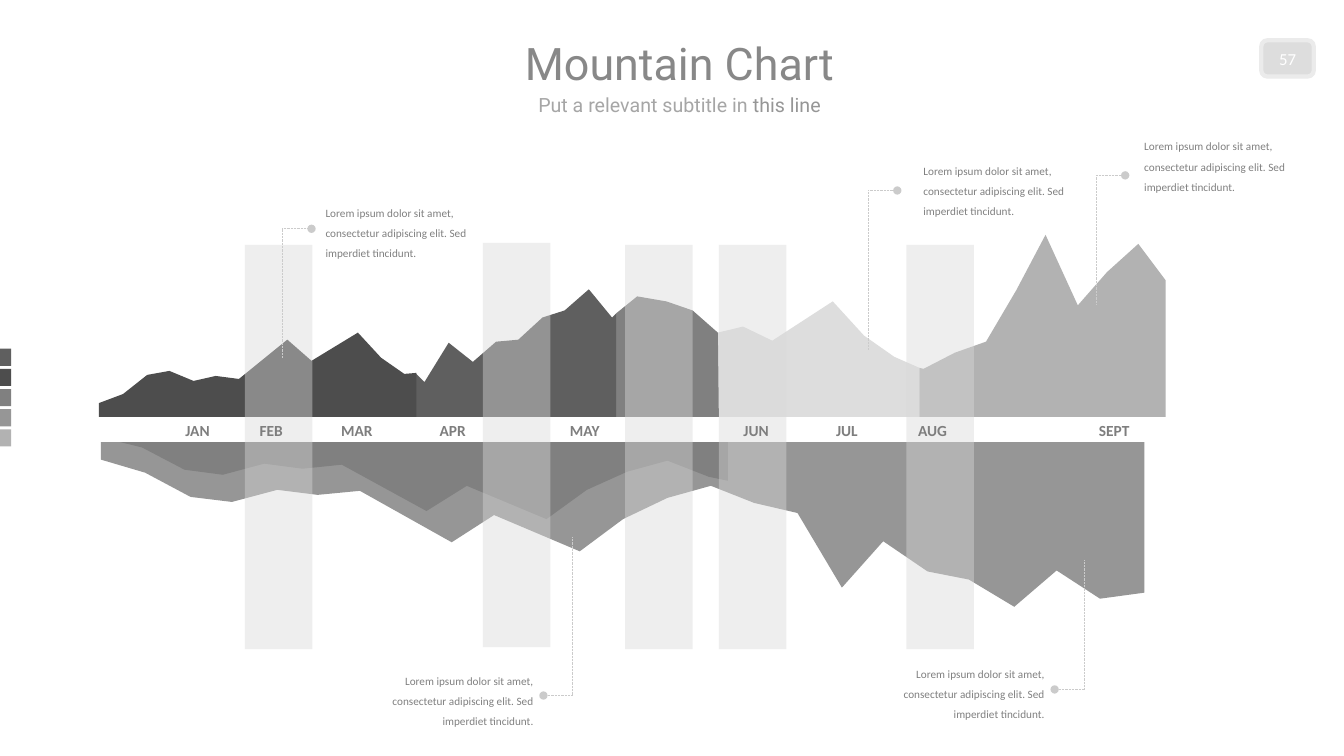
from lxml import etree
from pptx import Presentation
from pptx.dml.color import RGBColor
from pptx.enum.dml import MSO_LINE
from pptx.enum.shapes import MSO_CONNECTOR, MSO_SHAPE
from pptx.enum.text import MSO_ANCHOR, PP_ALIGN
from pptx.oxml.ns import qn
from pptx.util import Inches, Pt

COLORS = {
    "white": "FFFFFF", "title": "888888", "subtitle": "A6A6A6", "accent": "969696",
    "badge": "DDDDDD", "badge_line": "EBEBEB", "month": "7E7E7E", "body": "808080",
    "leader": "CBCBCB", "column": "D9D9D9", "slate": "5F5F5F", "charcoal": "4D4D4D",
    "gray": "808080", "silver": "969696", "ash": "B2B2B2", "pale": "DDDDDD",
}
SWATCHES = ["slate", "charcoal", "gray", "silver", "ash"]
CALLOUT_TEXT = "Lorem ipsum dolor sit amet, consectetur adipiscing elit. Sed imperdiet tincidunt."

# Each area is a colour, the height of its flat edge and its ridge, back to front.
AREAS = [
    ("silver", 4.35, [
        (1, 4.56), (1.44, 4.69), (1.89, 4.93), (2.3, 4.98), (2.75, 4.86), (3.15, 4.91),
        (3.57, 4.87), (4.48, 5.38), (4.9, 5.11), (5.75, 5.47), (6.18, 5.15), (6.62, 4.94),
        (7.05, 4.82), (7.48, 4.99), (7.91, 5.09), (8.35, 5.83), (8.76, 5.37), (9.2, 5.67),
        (9.61, 5.75), (10.06, 6.02), (10.48, 5.66), (10.91, 5.94), (11.35, 5.88)]),
    ("gray", 4.14, [
        (1, 4.34), (1.05, 4.35), (1.41, 4.44), (1.83, 4.66), (2.21, 4.71), (2.62, 4.6),
        (3, 4.65), (3.39, 4.61), (4.23, 5.07), (4.63, 4.82), (5.42, 5.15), (5.82, 4.86),
        (6.22, 4.68), (6.62, 4.57), (7.03, 4.73), (7.22, 4.77)]),
    ("pale", 4.16, [
        (7.12, 3.3), (7.37, 3.24), (7.66, 3.38), (8.26, 2.99), (8.57, 3.33), (8.87, 3.54),
        (9.12, 3.65)]),
    ("ash", 4.16, [
        (9.12, 3.65), (9.16, 3.66), (9.47, 3.5), (9.78, 3.39), (10.08, 2.88), (10.37, 2.33),
        (10.69, 3.03), (10.98, 2.7), (11.29, 2.42), (11.56, 2.78)]),
    ("gray", 4.16, [
        (6.11, 3.11), (6.32, 2.94), (6.61, 2.99), (6.87, 3.08), (7.12, 3.3), (7.13, 4.16)]),
    ("slate", 4.16, [
        (4.12, 3.7), (4.21, 3.79), (4.45, 3.4), (4.69, 3.59), (4.92, 3.39), (5.14, 3.37),
        (5.38, 3.15), (5.6, 3.08), (5.84, 2.87), (6.07, 3.15), (6.11, 3.11)]),
    ("charcoal", 4.16, [
        (0.98, 4), (1.22, 3.91), (1.46, 3.72), (1.68, 3.68), (1.92, 3.78), (2.14, 3.73),
        (2.37, 3.76), (2.85, 3.37), (3.09, 3.58), (3.55, 3.3), (3.78, 3.55), (4.01, 3.71),
        (4.13, 3.7)]),
]
COLUMNS = [(2.43, 2.43), (4.79, 2.41), (6.2, 2.43), (7.13, 2.43), (8.99, 2.43)]
MONTH_CENTERS = {
    "JAN": 1.96, "FEB": 2.69, "MAR": 3.54, "APR": 4.49, "MAY": 5.8,
    "JUN": 7.5, "JUL": 8.4, "AUG": 9.25, "SEPT": 11.05,
}
# Stem x, stem start y, elbow y, direction of the arm, text left and top.
CALLOUTS = [
    (10.87, 3.02, 1.74, 1, 11.25, 1.27),
    (8.61, 3.47, 1.89, 1, 9.06, 1.51),
    (2.8, 3.55, 2.27, 1, 3.13, 1.93),
    (5.68, 5.33, 6.9, -1, 3.54, 6.57),
    (10.75, 5.56, 6.84, -1, 8.61, 6.5),
]


def rgb(name):
    return RGBColor.from_string(COLORS[name])


def paint(shape, color, line=None, line_width=0):
    shape.shadow.inherit = False
    shape.fill.solid()
    shape.fill.fore_color.rgb = rgb(color)
    if line:
        shape.line.color.rgb = rgb(line)
        shape.line.width = Pt(line_width)
    else:
        shape.line.fill.background()


def add_box(slide, box, color, line=None, line_width=0, kind=MSO_SHAPE.RECTANGLE):
    shape = slide.shapes.add_shape(kind, *map(Inches, box))
    paint(shape, color, line, line_width)
    return shape


def format_run(run, font, size, color, bold=False):
    run.font.name = font
    run.font.size = Pt(size)
    run.font.bold = bold
    run.font.color.rgb = rgb(color)


def add_text(slide, box, runs, font, size, align, bold=False, line_spacing=1.0):
    """Add one paragraph from (text, colour) pairs."""
    text_frame = slide.shapes.add_textbox(*map(Inches, box)).text_frame
    text_frame.word_wrap = True
    paragraph = text_frame.paragraphs[0]
    paragraph.alignment = align
    paragraph.line_spacing = line_spacing
    for text, color in runs:
        run = paragraph.add_run()
        run.text = text
        format_run(run, font, size, color, bold)


def add_heading(slide, left, top, width):
    title = slide.shapes.title
    title.left, title.top = Inches(left), Inches(top)
    title.width, title.height = Inches(width), Inches(0.76)
    title.text_frame.text = "Mountain Chart"
    title.text_frame.vertical_anchor = MSO_ANCHOR.BOTTOM
    paragraph = title.text_frame.paragraphs[0]
    paragraph.alignment = PP_ALIGN.CENTER
    paragraph.line_spacing = 0.9
    format_run(paragraph.runs[0], "Roboto", 32, "title")
    add_text(slide, (left, top + 0.71, width, 0.55),
             [("Put a relevant subtitle in ", "subtitle"), ("this line", "accent")],
             "Roboto", 14, PP_ALIGN.CENTER, line_spacing=0.9)


def add_page_badge(slide, box):
    badge = add_box(slide, box, "badge", "badge_line", 3, MSO_SHAPE.ROUNDED_RECTANGLE)
    text_frame = badge.text_frame
    text_frame.text = "57"
    text_frame.vertical_anchor = MSO_ANCHOR.MIDDLE
    text_frame.paragraphs[0].alignment = PP_ALIGN.CENTER
    format_run(text_frame.paragraphs[0].runs[0], "Calibri", 12, "white")


def add_swatches(slide, left, top):
    for index, color in enumerate(SWATCHES):
        add_box(slide, (left, top + index * 0.2, 0.11, 0.17), color)


def add_mountains(slide):
    for color, base, ridge in AREAS:
        outline = [(ridge[0][0], base), *ridge, (ridge[-1][0], base)]
        points = [(Inches(x), Inches(y)) for x, y in outline]
        builder = slide.shapes.build_freeform(*points[0], scale=1.0)
        builder.add_line_segments(points[1:], close=True)
        paint(builder.convert_to_shape(), color)


def add_columns(slide):
    for left, top in COLUMNS:
        column = add_box(slide, (left, top, 0.67, 4.01), "column")
        color = column.fill._xPr.find(qn("a:solidFill"))[0]
        etree.SubElement(color, qn("a:alpha"), val="43000")


def add_leader(slide, start, end, dot=False):
    line = slide.shapes.add_connector(MSO_CONNECTOR.STRAIGHT, *map(Inches, start + end))
    line.line.color.rgb = rgb("leader")
    line.line.width = Pt(0.5)
    line.line.dash_style = MSO_LINE.ROUND_DOT
    if dot:
        etree.SubElement(line.line._get_or_add_ln(), qn("a:tailEnd"), type="oval")
    etree.SubElement(line._element.spPr, qn("a:effectLst"))


def add_callout(slide, x, start, elbow, direction, text_left, text_top):
    add_leader(slide, (x, start), (x, elbow))
    add_leader(slide, (x, elbow), (x + direction * 0.29, elbow), dot=True)
    align = PP_ALIGN.LEFT if direction > 0 else PP_ALIGN.RIGHT
    add_text(slide, (text_left, text_top, 1.85, 0.61), [(CALLOUT_TEXT, "body")],
             "Calibri", 8, align, line_spacing=1.5)


def add_months(slide, top):
    for month, center in MONTH_CENTERS.items():
        add_text(slide, (center - 0.4, top, 0.8, 0.28), [(month, "month")],
                 "Calibri", 11, PP_ALIGN.CENTER, bold=True)


def main():
    presentation = Presentation()
    presentation.slide_width, presentation.slide_height = Inches(13.33), Inches(7.5)
    slide = presentation.slides.add_slide(presentation.slide_layouts[5])
    add_heading(slide, 0.99, 0.19, 11.5)
    add_page_badge(slide, (12.51, 0.4, 0.52, 0.36))
    add_swatches(slide, 0, 3.46)
    add_mountains(slide)
    add_box(slide, (0.65, 4.14, 11.28, 0.24), "white", "white", 0.75)
    add_columns(slide)
    for callout in CALLOUTS:
        add_callout(slide, *callout)
    add_months(slide, 4.13)
    presentation.save("out.pptx")


if __name__ == "__main__":
    main()
